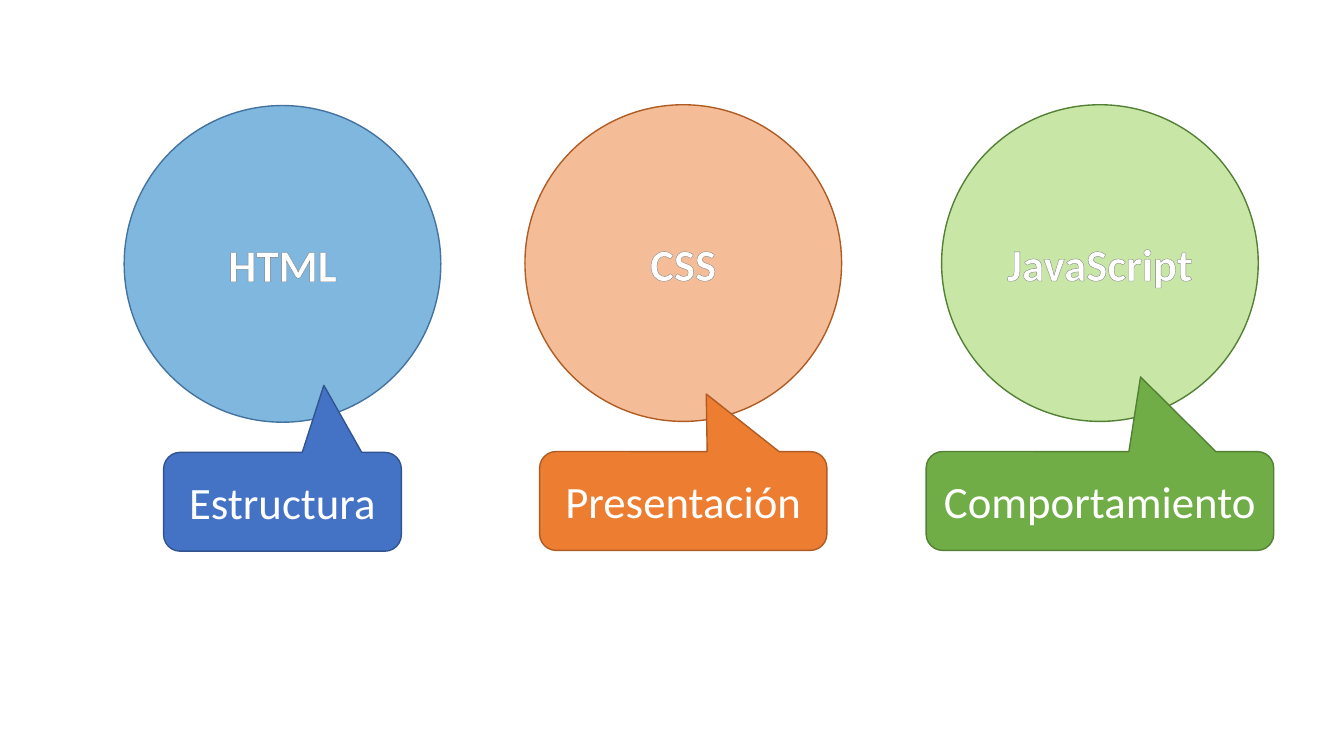
"""Build a slide pairing three web technologies with their roles."""
from lxml import etree
from pptx import Presentation
from pptx import util as u
from pptx.dml.color import RGBColor
from pptx.enum import shapes, text
from pptx.oxml import ns

TECHS = [
    dict(name="HTML", role="Estructura", mid=7.12, top=2.66, width=5.99,
         tip=(0.174, -1.179), tint="0070C0", rim="43739E",
         fill="4472C4", edge="325491"),
    dict(name="CSS", role="Presentación", mid=17.22, top=2.64, width=7.24,
         tip=(0.08, -1.083), tint="ED7D31", rim="AF5C24",
         fill="ED7D31", edge="AF5C24"),
    dict(name="JavaScript", role="Comportamiento", mid=27.72, top=2.64, width=8.76,
         tip=(0.117, -1.256), tint="92D050", rim="538035",
         fill="70AD47", edge="538035"),
]
THEME = dict(font="Calibri", size=32, ink="FFFFFF", trim="808080",
             trim_width=0.25, line=1, alpha=50)
DISC = 7.98
DROP = 8.74
HEIGHT = 2.49
ROUND = 0.167


def add_sub(parent, tag, **attrs):
    return etree.SubElement(parent, ns.qn(tag), attrs)


def add_part(slide, kind, mid, top, width, height, fill, edge, label, bold=False):
    part = slide.shapes.add_shape(
        kind, u.Cm(mid - width / 2), u.Cm(top), u.Cm(width), u.Cm(height))
    part.shadow.inherit = False
    part.fill.solid()
    part.fill.fore_color.rgb = RGBColor.from_string(fill)
    part.line.color.rgb = RGBColor.from_string(edge)
    part.line.width = u.Pt(THEME["line"])
    frame = part.text_frame
    frame.word_wrap = True
    frame.vertical_anchor = text.MSO_ANCHOR.MIDDLE
    para = frame.paragraphs[0]
    para.alignment = text.PP_ALIGN.CENTER
    run = para.add_run()
    run.text = label
    run.font.name = THEME["font"]
    run.font.size = u.Pt(THEME["size"])
    run.font.bold = bold
    run.font.color.rgb = RGBColor.from_string(THEME["ink"])
    return part


def fade(part):
    color = part.fill._xPr.find(ns.qn("a:solidFill"))[0]
    add_sub(color, "a:alpha", val=str(THEME["alpha"] * 1000))


def trim(part):
    props = part.text_frame.paragraphs[0].runs[0].font._element
    line = etree.Element(ns.qn("a:ln"), w=str(u.Pt(THEME["trim_width"])))
    add_sub(add_sub(line, "a:solidFill"), "a:srgbClr", val=THEME["trim"])
    props.insert(0, line)


def add_tech(slide, tech):
    disc = add_part(slide, shapes.MSO_SHAPE.OVAL, tech["mid"], tech["top"],
                    DISC, DISC, tech["tint"], tech["rim"], tech["name"], True)
    fade(disc)
    trim(disc)
    note = add_part(slide, shapes.MSO_SHAPE.ROUNDED_RECTANGULAR_CALLOUT,
                    tech["mid"], tech["top"] + DROP, tech["width"], HEIGHT,
                    tech["fill"], tech["edge"], tech["role"])
    for index, value in enumerate((*tech["tip"], ROUND)):
        note.adjustments[index] = value


def main():
    deck = Presentation()
    deck.slide_width, deck.slide_height = u.Cm(33.87), u.Cm(19.05)
    slide = deck.slides.add_slide(deck.slide_layouts[6])
    for tech in TECHS:
        add_tech(slide, tech)
    deck.save("out.pptx")


if __name__ == "__main__":
    main()
